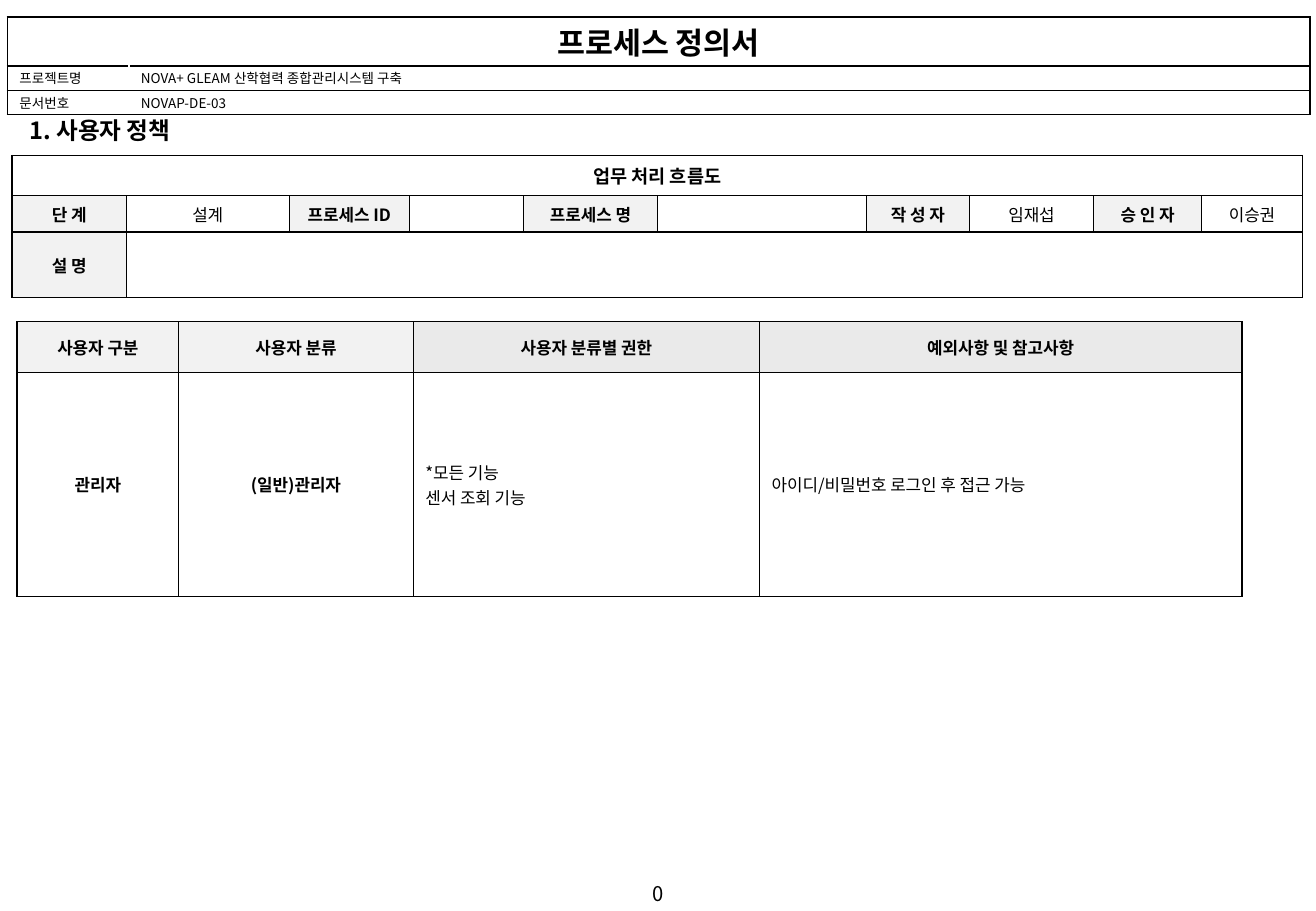
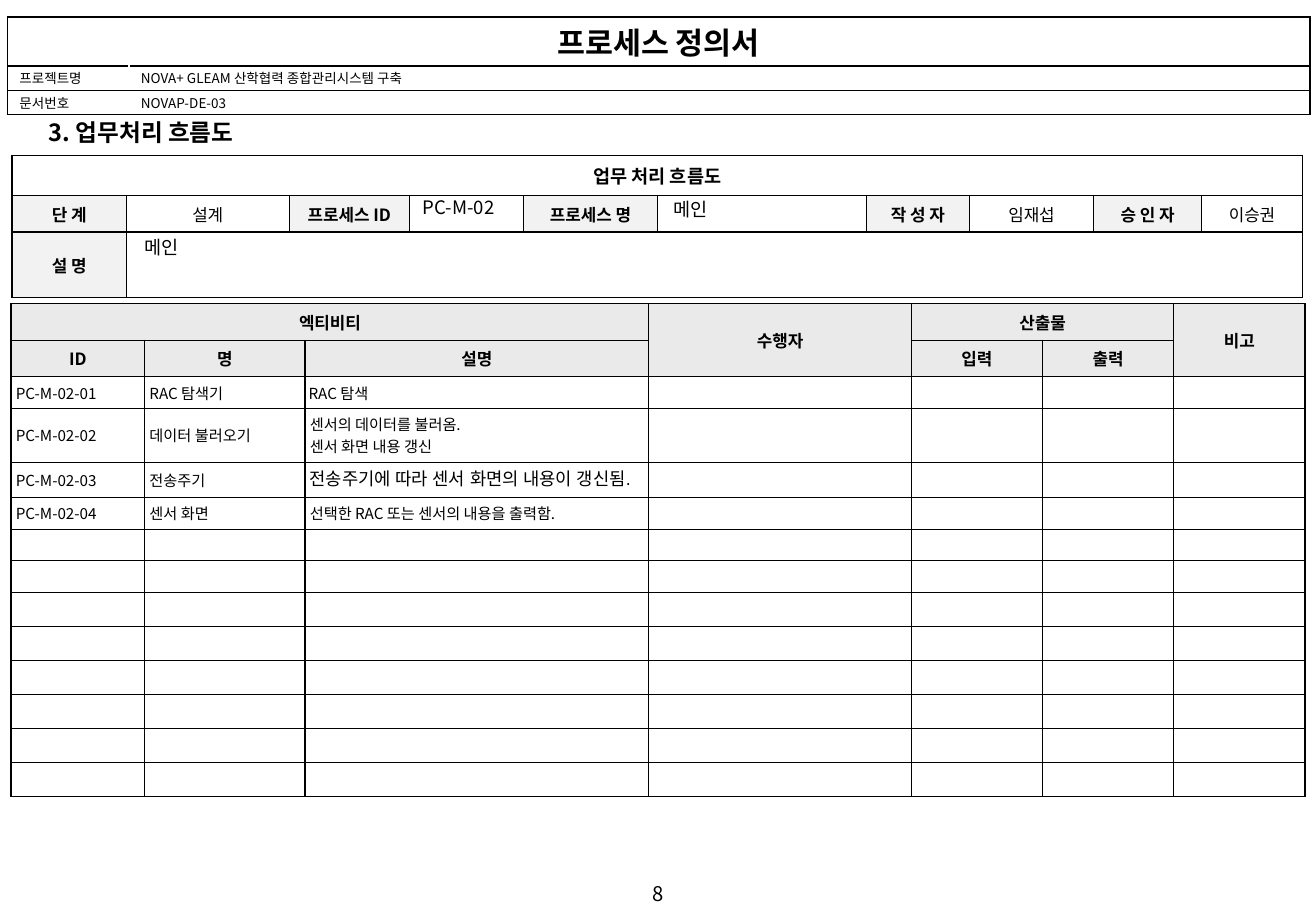
import dataclasses

import lxml.etree
import pptx
import pptx.dml.color
import pptx.enum.text
import pptx.oxml.ns
import pptx.util

Inches = pptx.util.Inches
Pt = pptx.util.Pt
qn = pptx.oxml.ns.qn
ALIGN = pptx.enum.text.PP_ALIGN
ANCHOR = pptx.enum.text.MSO_ANCHOR

BLACK = pptx.dml.color.RGBColor(0x00, 0x00, 0x00)
WHITE = pptx.dml.color.RGBColor(0xFF, 0xFF, 0xFF)
PALE = pptx.dml.color.RGBColor(0xF2, 0xF2, 0xF2)
GREY = pptx.dml.color.RGBColor(0xEA, 0xEA, 0xEA)
FONT = "Noto Sans CJK KR"
PAGE_WIDTH, PAGE_HEIGHT = 10.83, 7.5

THIN, THICK, UNSEEN = (0.75, BLACK), (1, BLACK), (1, WHITE)


@dataclasses.dataclass(frozen=True)
class Style:
    """Look of a table cell; margins are left/right and top/bottom."""
    size: float = 10
    bold: bool = False
    align: int = ALIGN.CENTER
    fill: object = WHITE
    margins: tuple = (0.1, 0.05)
    anchor: int = ANCHOR.MIDDLE
    font: str = FONT


BANNER = Style(18, True, margins=(0.1, 0.02), anchor=ANCHOR.TOP)
FACT = dataclasses.replace(BANNER, size=8, bold=False, align=ALIGN.LEFT)
CAPTION = Style(11, True)
LABEL = Style(bold=True, fill=PALE)
HEADING = Style(bold=True, fill=GREY)
VALUE = Style()
NOTE = Style(align=ALIGN.LEFT)
GROUP = Style(bold=True, fill=None)
ENTRY = Style(9, align=ALIGN.LEFT, fill=None, margins=(0.04, 0.04))
ENTRY_TIGHT = dataclasses.replace(ENTRY, margins=(0.03, 0))
ENTRY_LARGE = dataclasses.replace(ENTRY, size=10.5, font="Arial")

# Tables: cells are (text, style); spans are (row, column, rows, columns).
DOCUMENT_TABLE = dict(
    at=(0.06, 0.14), widths=(1, 9.72), heights=(0.4, 0.2, 0.2),
    column_lines=[THICK, UNSEEN, THICK], row_lines=[THICK] * 4,
    spans=[(0, 0, 1, 2)],
    cells=[
        [("프로세스 정의서", BANNER), ("", FACT)],
        [("프로젝트명", FACT), ("NOVA+ GLEAM 산학협력 종합관리시스템 구축", FACT)],
        [("문서번호", FACT), ("NOVAP-DE-03", FACT)],
    ])

FLOW_TABLE = dict(
    at=(0.1, 1.28), heights=(0.33, 0.3, 0.54),
    widths=(0.94, 1.34, 0.99, 0.94, 1.1, 1.72, 0.85, 1.02, 0.89, 0.83),
    column_lines=[THICK] + [THIN] * 9 + [THICK],
    row_lines=[THICK, THIN, THIN, THICK],
    spans=[(0, 0, 1, 10), (2, 1, 1, 9)],
    cells=[
        [("업무 처리 흐름도", CAPTION)] + [("", VALUE)] * 9,
        [("단 계", LABEL), ("설계", VALUE), ("프로세스 ID", LABEL), ("", VALUE),
         ("프로세스 명", LABEL), ("", VALUE), ("작 성 자", LABEL),
         ("임재섭", VALUE), ("승 인 자", LABEL), ("이승권", VALUE)],
        [("설 명", LABEL)] + [("", VALUE)] * 9,
    ])

USER_TABLE = dict(
    at=(0.14, 2.65), widths=(1.33, 1.93, 2.85, 3.97), heights=(0.42, 1.84),
    column_lines=[THICK, THIN, THIN, THICK, THICK], row_lines=[THIN] * 3,
    spans=[],
    cells=[
        [("사용자 구분", LABEL), ("사용자 분류", LABEL),
         ("사용자 분류별 권한", HEADING), ("예외사항 및 참고사항", HEADING)],
        [("관리자", GROUP), ("(일반)관리자", GROUP),
         ("*모든 기능\n센서 조회 기능", NOTE),
         ("아이디/비밀번호 로그인 후 접근 가능", NOTE)],
    ])

ACTIVITIES = [
    ("PC-M-02-01", "RAC 탐색기", "RAC 탐색", ENTRY_TIGHT),
    ("PC-M-02-02", "데이터 불러오기",
     "센서의 데이터를 불러옴.\n센서 화면 내용 갱신", ENTRY),
    ("PC-M-02-03", "전송주기",
     "전송주기에 따라 센서 화면의 내용이 갱신됨.", ENTRY_LARGE),
    ("PC-M-02-04", "센서 화면", "선택한 RAC 또는 센서의 내용을 출력함.", ENTRY),
]
SPARE_ROWS = 8
ACTIVITY_HEADINGS = [
    ("엑티비티", "", "", "수행자", "산출물", "", "비고"),
    ("ID", "명", "설명", "", "입력", "출력", ""),
]
ACTIVITY_TABLE = dict(
    at=(0.09, 2.5), widths=(1.1, 1.32, 2.83, 2.16, 1.08, 1.08, 1.08),
    heights=[0.3, 0.3, 0.26, 0.44, 0.29, 0.26, 0.26, 0.26] + [0.28] * 6,
    column_lines=[THICK] + [THIN] * 7, row_lines=[THIN] * 15,
    spans=[(0, 0, 1, 3), (0, 3, 2, 1), (0, 4, 1, 2), (0, 6, 2, 1)],
    cells=[[(text, HEADING) for text in row] for row in ACTIVITY_HEADINGS]
    + [[(code, ENTRY), (name, ENTRY), (detail, style)] + [("", ENTRY)] * 4
       for code, name, detail, style in ACTIVITIES]
    + [[("", ENTRY)] * 7] * SPARE_ROWS)

# Section titles and texts: (text, left, top, width, height).
USER_TITLE = ("1. 사용자 정책", 0.14, 0.9, 1.57, 0.34)
FLOW_TITLE = ("3. 업무처리 흐름도", 0.3, 0.92, 1.96, 0.34)
FLOW_ENTRIES = [
    ("PC-M-02", 3.38, 1.56, 0.93, 0.29),
    ("메인", 5.44, 1.58, 1.71, 0.29),
    ("메인", 1.09, 1.89, 9.53, 0.29),
]


def format_text(frame, size, bold=False, align=ALIGN.LEFT, font=FONT):
    """Give every paragraph of a text frame the same font and alignment."""
    for para in frame.paragraphs:
        para.alignment = align
        para.font.size = Pt(size)
        para.font.bold = bold
        para.font.color.rgb = BLACK
        para.font.name = font
        defaults = para._p.find(".//" + qn("a:defRPr"))
        lxml.etree.SubElement(defaults, qn("a:ea"), typeface=font)
        if not para.runs:
            lxml.etree.SubElement(para._p, qn("a:endParaRPr"),
                                  sz=str(int(size * 100)))


def draw_edge(cell, side, line):
    """Draw one border of a cell; side is L, R, T or B."""
    width, color = line
    edge = lxml.etree.SubElement(cell._tc.get_or_add_tcPr(), qn("a:ln" + side),
                                 w=str(Pt(width)))
    fill = lxml.etree.SubElement(edge, qn("a:solidFill"))
    lxml.etree.SubElement(fill, qn("a:srgbClr"), val=str(color))


def format_cell(cell, text, style):
    """Write the text of a cell and apply its style."""
    cell.text = text
    cell.margin_left = cell.margin_right = Inches(style.margins[0])
    cell.margin_top = cell.margin_bottom = Inches(style.margins[1])
    cell.vertical_anchor = style.anchor
    if style.fill is None:
        cell.fill.background()
    else:
        cell.fill.solid()
        cell.fill.fore_color.rgb = style.fill
    format_text(cell.text_frame, style.size, style.bold, style.align, style.font)


def add_grid(page, at, widths, heights, column_lines, row_lines, spans, cells):
    """Add a table whose borders follow its column and row lines."""
    lengths = (*at, sum(widths), sum(heights))
    table = page.shapes.add_table(len(heights), len(widths),
                                  *map(Inches, lengths)).table
    table.first_row = table.horz_banding = False
    for column, width in zip(table.columns, widths):
        column.width = Inches(width)
    for row, height in zip(table.rows, heights):
        row.height = Inches(height)

    blocks = {}
    for top, left, tall, wide in spans:
        bottom, right = top + tall - 1, left + wide - 1
        table.cell(top, left).merge(table.cell(bottom, right))
        for r in range(top, bottom + 1):
            for c in range(left, right + 1):
                blocks[r, c] = (top, left, bottom, right)

    for r, row in enumerate(cells):
        for c, (text, style) in enumerate(row):
            cell = table.cell(r, c)
            top, left, bottom, right = blocks.get((r, c), (r, c, r, c))
            if c == left:
                draw_edge(cell, "L", column_lines[c])
            if (r, c) == (top, left) or c == right:
                draw_edge(cell, "R", column_lines[right + 1])
            if r == top:
                draw_edge(cell, "T", row_lines[r])
            if (r, c) == (top, left) or r == bottom:
                draw_edge(cell, "B", row_lines[bottom + 1])
            format_cell(cell, text, style)
    return table


def place_text(box, text, size, **look):
    """Write top-anchored text into a shape with normal insets."""
    frame = box.text_frame
    frame.text = text
    frame.word_wrap = True
    frame.auto_size = pptx.enum.text.MSO_AUTO_SIZE.NONE
    frame.vertical_anchor = ANCHOR.TOP
    format_text(frame, size, **look)


def add_text(page, text, left, top, width, height, size=11, **look):
    """Add a text box."""
    box = page.shapes.add_textbox(*map(Inches, (left, top, width, height)))
    place_text(box, text, size, **look)


def add_page(deck, title, number):
    """Add a page with the shared tables, section title and page number."""
    page = deck.slides.add_slide(deck.slide_layouts[5])
    add_text(page, number, 0, 7.21, PAGE_WIDTH, 0.3, 12, align=ALIGN.CENTER)
    add_grid(page, **DOCUMENT_TABLE)
    add_grid(page, **FLOW_TABLE)
    text, *lengths = title
    heading = page.shapes.title
    heading.left, heading.top, heading.width, heading.height = map(Inches, lengths)
    place_text(heading, text, 14, bold=True)
    return page


deck = pptx.Presentation()
deck.slide_width, deck.slide_height = Inches(PAGE_WIDTH), Inches(PAGE_HEIGHT)

user_page = add_page(deck, USER_TITLE, "0")
add_grid(user_page, **USER_TABLE)

flow_page = add_page(deck, FLOW_TITLE, "8")
activities = add_grid(flow_page, **ACTIVITY_TABLE)
activities.cell(3, 2).text_frame.paragraphs[1].font.name = "Arial"
for entry in FLOW_ENTRIES:
    add_text(flow_page, *entry)

deck.save("out.pptx")
